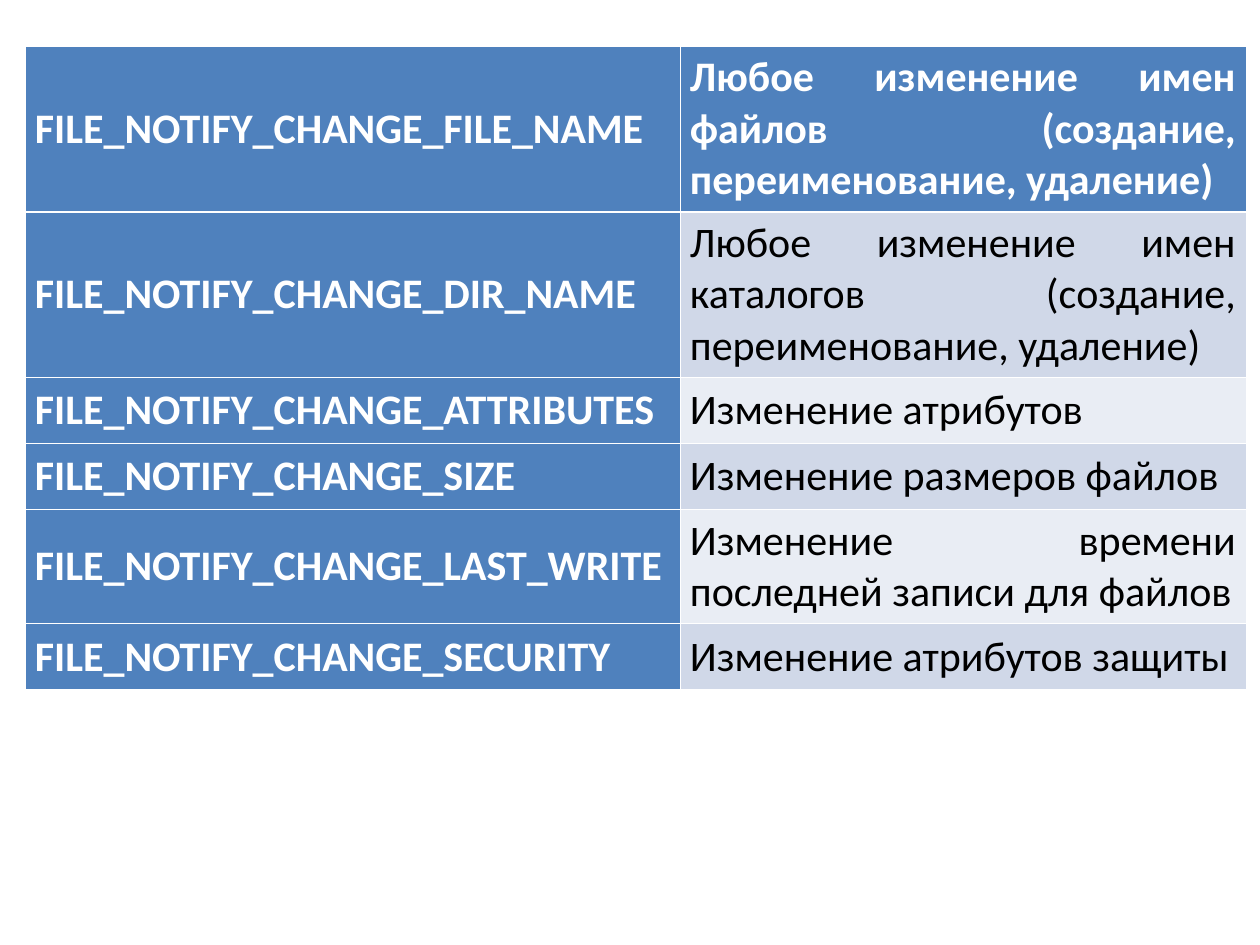
from lxml.etree import SubElement
from pptx import Presentation
from pptx.dml.color import RGBColor as Color
from pptx.enum.text import MSO_ANCHOR as Anchor, PP_ALIGN as Align
from pptx.oxml.ns import qn
from pptx.util import Emu, Pt

PX = 914400 / 126
COLORS = {"blue": "4F81BD", "dark_band": "D0D8E8", "light_band": "E9EDF4",
          "white": "FFFFFF", "black": "000000"}
ROWS = [
    (151, "FILE_NOTIFY_CHANGE_FILE_NAME",
     "Любое изменение имен файлов (создание, переименование, удаление)"),
    (151, "FILE_NOTIFY_CHANGE_DIR_NAME",
     "Любое изменение имен каталогов (создание, переименование, удаление)"),
    (66, "FILE_NOTIFY_CHANGE_ATTRIBUTES", "Изменение атрибутов"),
    (66, "FILE_NOTIFY_CHANGE_SIZE", "Изменение размеров файлов"),
    (101, "FILE_NOTIFY_CHANGE_LAST_WRITE",
     "Изменение времени последней записи для файлов"),
    (66, "FILE_NOTIFY_CHANGE_SECURITY", "Изменение атрибутов защиты"),
]
COLUMN_WIDTHS = [655, 566]


def px(count):
    return Emu(round(count * PX))


def write_cell(cell, text, fill, color, bold, borders):
    cell.margin_left = cell.margin_right = px(10)
    cell.margin_top = cell.margin_bottom = px(6)
    cell.vertical_anchor = Anchor.MIDDLE
    properties = cell._tc.get_or_add_tcPr()
    for side, width in zip("LRTB", borders):
        line = SubElement(properties, qn(f"a:ln{side}"), w=str(Pt(width)))
        solid = SubElement(line, qn("a:solidFill"))
        SubElement(solid, qn("a:srgbClr"), val=COLORS["white"])
    cell.fill.solid()
    cell.fill.fore_color.rgb = Color.from_string(COLORS[fill])
    para = cell.text_frame.paragraphs[0]
    para.alignment = Align.JUSTIFY
    span = para.add_run()
    span.text = text
    span.font.name = "Calibri"
    span.font.size = Pt(24)
    span.font.bold = bold
    span.font.color.rgb = Color.from_string(COLORS[color])


deck = Presentation()
deck.slide_width, deck.slide_height = px(1260), px(945)
page = deck.slides.add_slide(deck.slide_layouts[6])

table_height = sum(height for height, *_ in ROWS)
table = page.shapes.add_table(len(ROWS), len(COLUMN_WIDTHS), px(25), px(46),
                              px(sum(COLUMN_WIDTHS)), px(table_height)).table
table.first_row = table.first_col = True
for column, width in zip(table.columns, COLUMN_WIDTHS):
    column.width = px(width)

for row_index, (height, *texts) in enumerate(ROWS):
    table.rows[row_index].height = px(height)
    top = 1.47 if row_index == 1 else 0.45
    bottom = 1.47 if row_index == 0 else 0.45
    band = "dark_band" if row_index % 2 else "light_band"
    for column_index, text in enumerate(texts):
        header = row_index == 0 or column_index == 0
        write_cell(table.cell(row_index, column_index), text,
                   fill="blue" if header else band,
                   color="white" if header else "black",
                   bold=header, borders=(0.45, 0.45, top, bottom))

deck.save("out.pptx")
